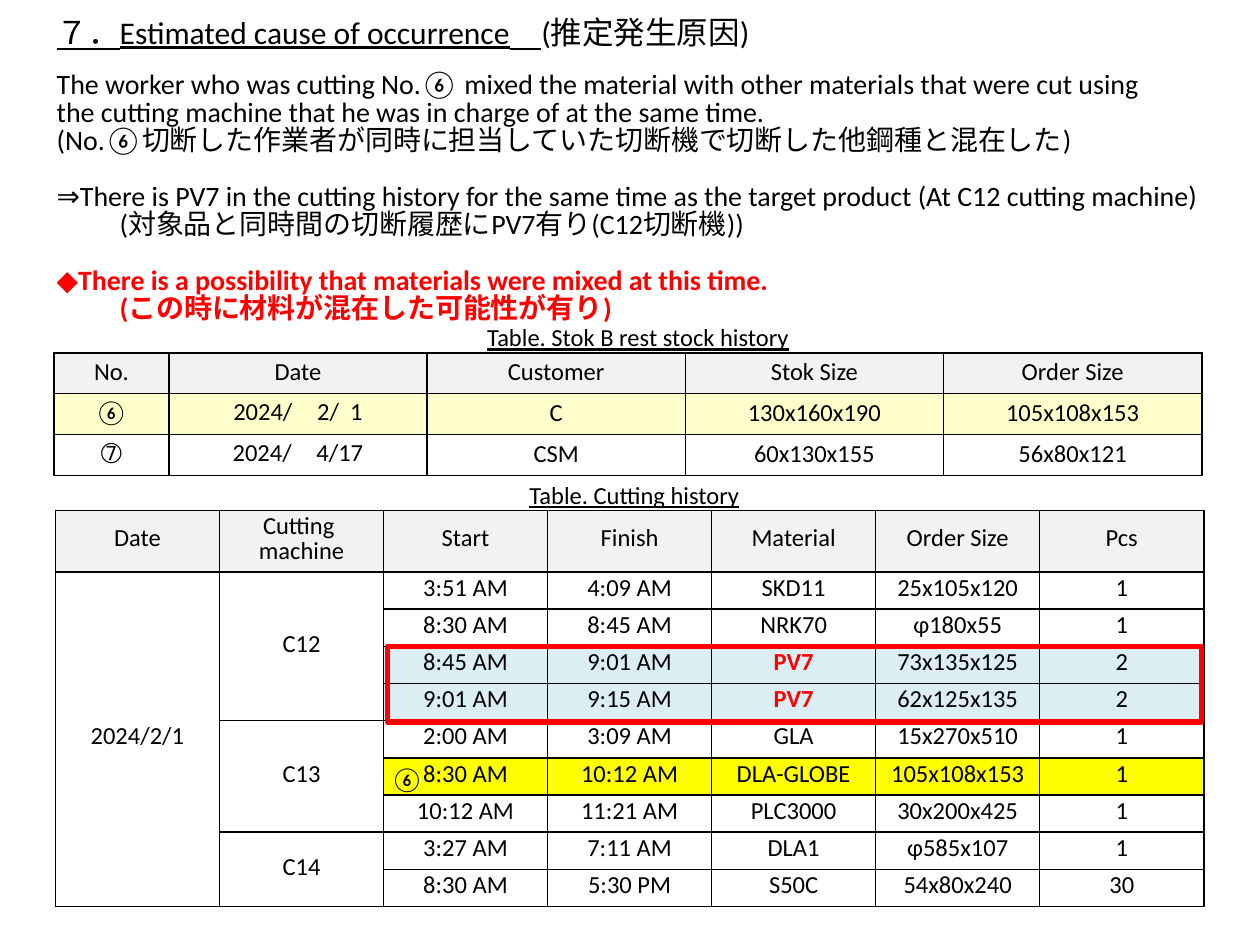
"""Build the estimated-cause slide with its stock and cutting history tables."""
import pptx
import pptx.util
import pptx.dml.color
import pptx.enum.text
import pptx.enum.shapes
import pptx.oxml
import pptx.oxml.ns

Inches, Pt = pptx.util.Inches, pptx.util.Pt
RGBColor = pptx.dml.color.RGBColor
ALIGN = pptx.enum.text.PP_ALIGN
ANCHOR = pptx.enum.text.MSO_ANCHOR

BLACK = RGBColor(0, 0, 0)
RED = RGBColor(0xFF, 0, 0)
GREY = RGBColor(0xF2, 0xF2, 0xF2)
CREAM = RGBColor(0xFF, 0xFF, 0xCC)
PALE_BLUE = RGBColor(0xDB, 0xEE, 0xF4)
YELLOW = RGBColor(0xFF, 0xFF, 0)
FONT = "Calibri"

HEADING = [("７．Estimated cause of occurrence　", True), ("(推定発生原因)", False)]
# text, indent in inches, space before in points, emphasised
FINDINGS = [
    ("The worker who was cutting No.⑥ mixed the material with other materials that were cut using", 0, 0, False),
    ("the cutting machine that he was in charge of at the same time.", 0, 0, False),
    ("(No.⑥切断した作業者が同時に担当していた切断機で切断した他鋼種と混在した)", 0, 0, False),
    ("⇒There is PV7 in the cutting history for the same time as the target product (At C12 cutting machine)",
     0, 16, False),
    ("(対象品と同時間の切断履歴にPV7有り(C12切断機))", 0.5, 0, False),
    ("◆There is a possibility that materials were mixed at this time.", 0, 16, True),
    ("(この時に材料が混在した可能性が有り)", 0.5, 0, True),
]
STOCK_CAPTION = "Table. Stok B rest stock history"
STOCK = [
    ("No.", "Date", "Customer", "Stok Size", "Order Size"),
    ("⑥", "2024/　2/  1", "C", "130x160x190", "105x108x153"),
    ("➆", "2024/　4/17", "CSM", "60x130x155", "56x80x121"),
]
STOCK_FILLS = {0: GREY, 1: CREAM}
CUTTING_CAPTION = "Table. Cutting history"
CUTTING_HEAD = ("Date", "Cutting \nmachine", "Start", "Finish", "Material", "Order Size", "Pcs")
CUTTING_DATE = "2024/2/1"
MACHINES = {
    "C12": [
        ("3:51 AM", "4:09 AM", "SKD11", "25x105x120", "1"),
        ("8:30 AM", "8:45 AM", "NRK70", "φ180x55", "1"),
        ("8:45 AM", "9:01 AM", "PV7", "73x135x125", "2"),
        ("9:01 AM", "9:15 AM", "PV7", "62x125x135", "2"),
    ],
    "C13": [
        ("2:00 AM", "3:09 AM", "GLA", "15x270x510", "1"),
        ("8:30 AM", "10:12 AM", "DLA-GLOBE", "105x108x153", "1"),
        ("10:12 AM", "11:21 AM", "PLC3000", "30x200x425", "1"),
    ],
    "C14": [
        ("3:27 AM", "7:11 AM", "DLA1", "φ585x107", "1"),
        ("8:30 AM", "5:30 PM", "S50C", "54x80x240", "30"),
    ],
}
SUSPECT, TARGET = "PV7", "⑥"
SUSPECT_ROWS, TARGET_ROW = (3, 4), 6
CUTTING_FILLS = {0: GREY, 3: PALE_BLUE, 4: PALE_BLUE, TARGET_ROW: YELLOW}

STOCK_LEFT, STOCK_TOP, STOCK_ROW = 0.43, 2.8, 0.325
STOCK_COLS = [0.91] + [2.05] * 4
CUT_LEFT, CUT_TOP, CUT_HEAD, CUT_ROW, CUT_COL = 0.44, 4.05, 0.49, 0.295, 1.302


def add_run(paragraph, text, size, color=BLACK, bold=False, underline=False):
    run = paragraph.add_run()
    run.text = text
    font = run.font
    font.name, font.size, font.bold, font.underline = FONT, Pt(size), bold, underline
    font.color.rgb = color


def place(shape, left, top, width, height):
    shape.left, shape.top, shape.width, shape.height = map(Inches, (left, top, width, height))
    frame = shape.text_frame
    frame.word_wrap = True
    frame.auto_size = pptx.enum.text.MSO_AUTO_SIZE.NONE
    frame.vertical_anchor = ANCHOR.TOP
    return frame


def add_label(slide, text, box, align, underline):
    frame = place(slide.shapes.add_textbox(0, 0, 0, 0), *box)
    frame.paragraphs[0].alignment = align
    add_run(frame.paragraphs[0], text, 14, underline=underline)


def add_borders(cell):
    props = cell._tc.get_or_add_tcPr()
    for side in ("lnL", "lnR", "lnT", "lnB"):
        props.append(pptx.oxml.parse_xml(
            f'<a:{side} {pptx.oxml.ns.nsdecls("a")} w="12700"><a:solidFill>'
            f'<a:srgbClr val="{BLACK}"/></a:solidFill></a:{side}>'))


def fill_cell(cell, text, leading, anchor, fill):
    add_borders(cell)
    cell.vertical_anchor = anchor
    if fill is None:
        cell.fill.background()
    else:
        cell.fill.solid()
        cell.fill.fore_color.rgb = fill
    for i, line in enumerate(text.split("\n")):
        paragraph = cell.text_frame.add_paragraph() if i else cell.text_frame.paragraphs[0]
        paragraph.alignment = ALIGN.CENTER
        paragraph.line_spacing = Pt(leading)
        suspect = line == SUSPECT
        add_run(paragraph, line, 14, RED if suspect else BLACK, suspect)


def add_grid(slide, rows, left, top, widths, heights, leading, anchor_of, fill_of):
    table = slide.shapes.add_table(len(rows), len(widths), Inches(left), Inches(top),
                                   Inches(sum(widths)), Inches(sum(heights))).table
    table.first_row = table.horz_banding = False
    for column, width in zip(table.columns, widths):
        column.width = Inches(width)
    for r, (row, height) in enumerate(zip(rows, heights)):
        table.rows[r].height = Inches(height)
        for c, text in enumerate(row):
            fill_cell(table.cell(r, c), text, leading, anchor_of(r, c), fill_of(r, c))
    return table


def add_stock(slide):
    add_label(slide, STOCK_CAPTION, (0.43, 2.51, 9.27, 0.34), ALIGN.CENTER, True)
    add_grid(slide, STOCK, STOCK_LEFT, STOCK_TOP, STOCK_COLS, [STOCK_ROW] * len(STOCK), 16,
             lambda r, c: ANCHOR.MIDDLE if r and c in (0, 2) else ANCHOR.TOP,
             lambda r, c: STOCK_FILLS.get(r))


def add_cutting(slide):
    add_label(slide, CUTTING_CAPTION, (0.51, 3.76, 9.05, 0.34), ALIGN.CENTER, True)
    rows, spans = [CUTTING_HEAD], []
    for machine, cuts in MACHINES.items():
        spans.append((len(rows), len(rows) + len(cuts) - 1))
        for i, cut in enumerate(cuts):
            date = CUTTING_DATE if len(rows) == 1 else ""
            rows.append((date, "" if i else machine) + cut)
    table = add_grid(slide, rows, CUT_LEFT, CUT_TOP, [CUT_COL] * len(CUTTING_HEAD),
                     [CUT_HEAD] + [CUT_ROW] * (len(rows) - 1), 14,
                     lambda r, c: ANCHOR.MIDDLE,
                     lambda r, c: CUTTING_FILLS.get(r) if r == 0 or c > 1 else None)
    table.cell(1, 0).merge(table.cell(len(rows) - 1, 0))
    for first, last in spans:
        table.cell(first, 1).merge(table.cell(last, 1))


def row_top(row):
    return CUT_TOP + CUT_HEAD + (row - 1) * CUT_ROW


def add_marks(slide):
    start_left = CUT_LEFT + 2 * CUT_COL
    add_label(slide, TARGET, (start_left - 0.04, row_top(TARGET_ROW), 0.55, 0.34), ALIGN.LEFT, False)
    frame = slide.shapes.add_shape(
        pptx.enum.shapes.MSO_SHAPE.RECTANGLE, Inches(start_left + 0.03), Inches(row_top(SUSPECT_ROWS[0])),
        Inches(5 * CUT_COL - 0.05), Inches(len(SUSPECT_ROWS) * CUT_ROW + 0.01))
    frame.shadow.inherit = False
    frame.fill.background()
    frame.line.color.rgb = RED
    frame.line.width = Pt(3)


def add_findings(body):
    frame = place(body, 0.35, 0.52, 9.45, 2.12)
    for i, (text, indent, before, strong) in enumerate(FINDINGS):
        paragraph = frame.add_paragraph() if i else frame.paragraphs[0]
        paragraph.line_spacing = Pt(16)
        paragraph.space_before, paragraph.space_after = Pt(before), Pt(0)
        props = paragraph._p.get_or_add_pPr()
        props.set("marL", str(Inches(indent)))
        props.set("indent", "0")
        props.append(pptx.oxml.parse_xml(f'<a:buNone {pptx.oxml.ns.nsdecls("a")}/>'))
        add_run(paragraph, text, 16, RED if strong else BLACK, strong)


def main():
    deck = pptx.Presentation()
    deck.slide_width, deck.slide_height = Inches(10), Inches(7.5)
    slide = deck.slides.add_slide(deck.slide_layouts[1])
    heading = place(slide.shapes.title, 0.35, 0.05, 7.4, 0.4).paragraphs[0]
    heading.alignment = ALIGN.LEFT
    for text, underline in HEADING:
        add_run(heading, text, 18, underline=underline)
    add_findings(slide.placeholders[1])
    add_stock(slide)
    add_cutting(slide)
    add_marks(slide)
    deck.save("out.pptx")


if __name__ == "__main__":
    main()
